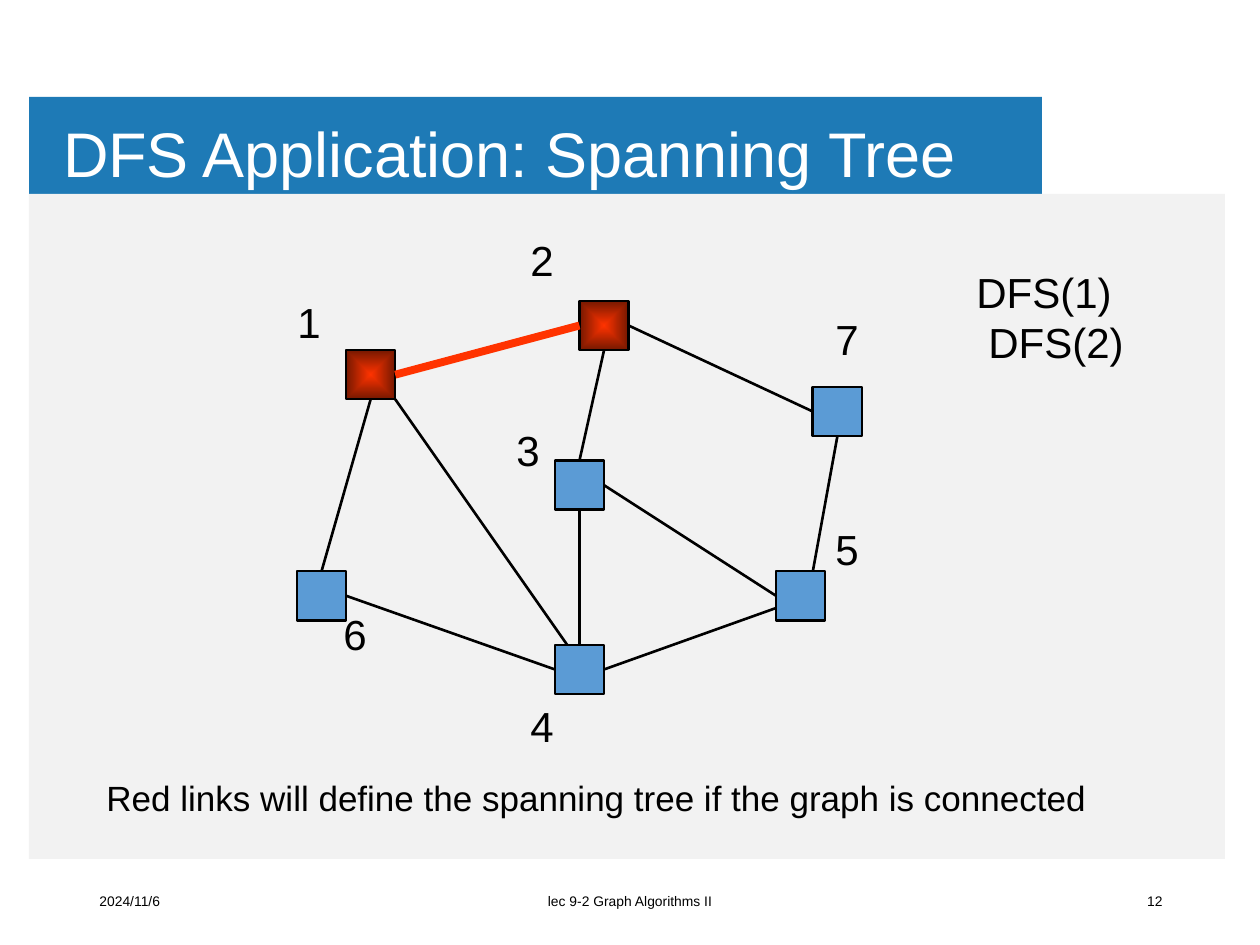
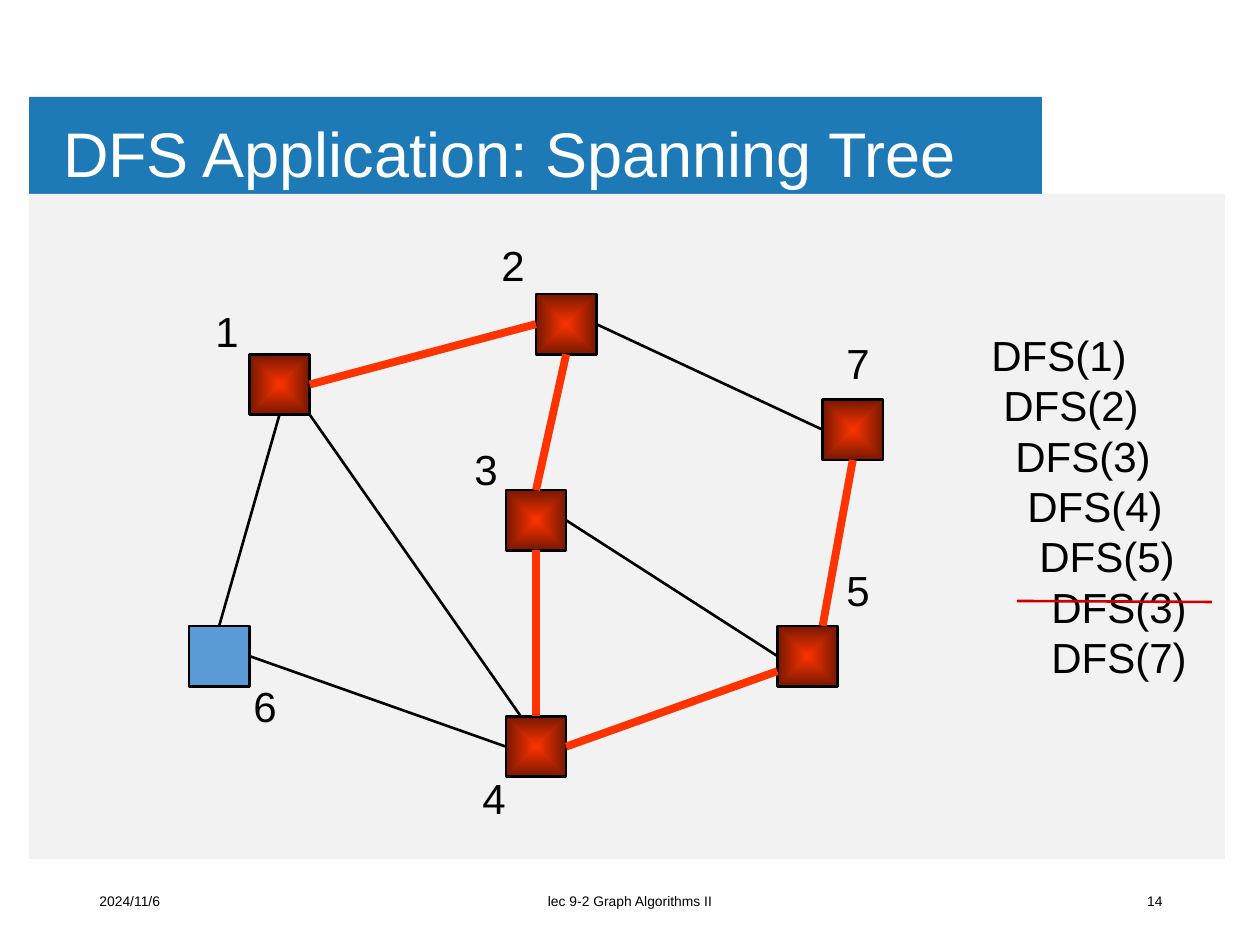
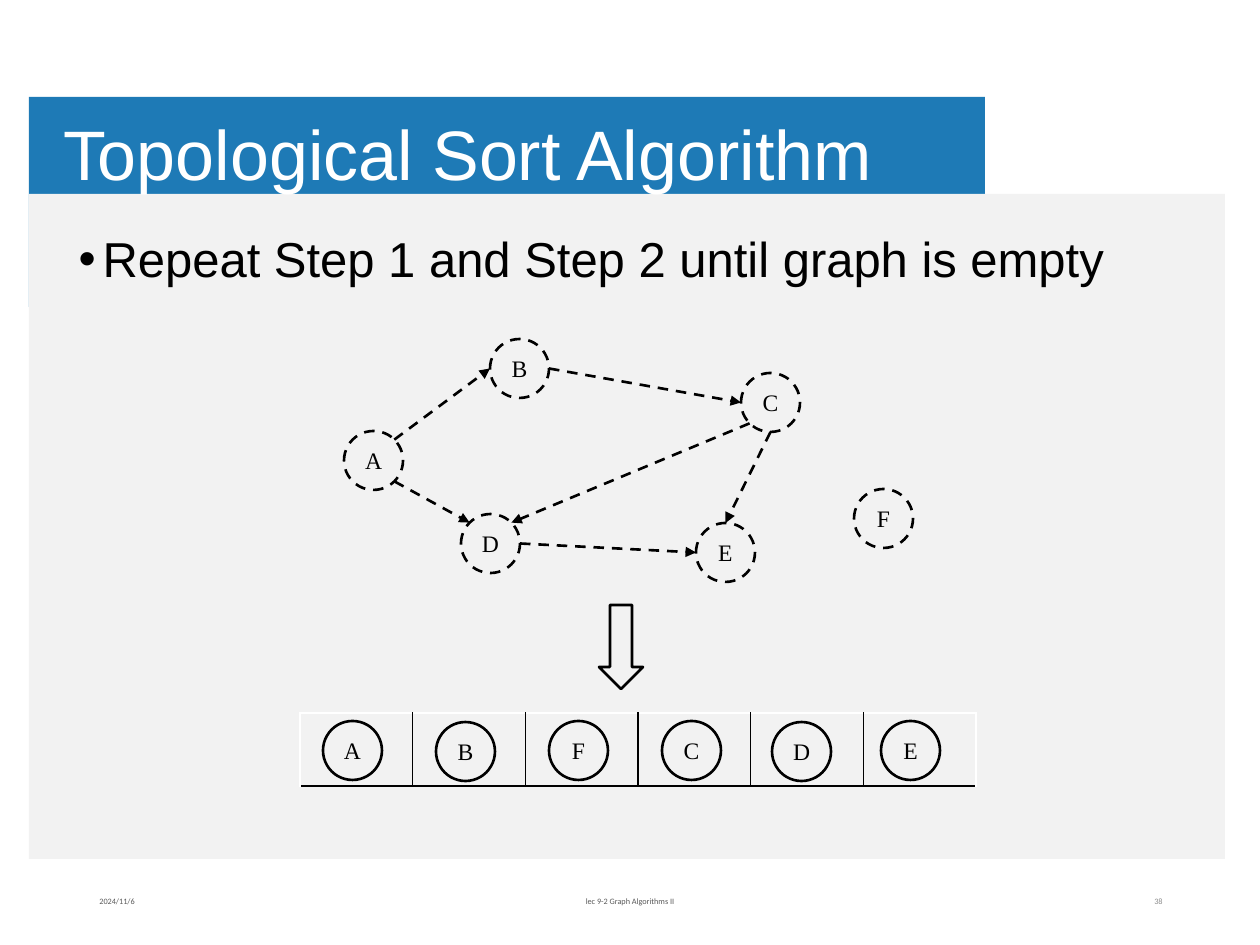
from math import cos, radians, sin

from lxml.etree import SubElement
from pptx import Presentation
from pptx.dml.color import RGBColor
from pptx.enum.dml import MSO_LINE_DASH_STYLE as DASH
from pptx.enum.shapes import MSO_CONNECTOR as CONNECTOR, MSO_SHAPE as SHAPE
from pptx.enum.text import MSO_ANCHOR as ANCHOR, MSO_AUTO_SIZE as AUTO, PP_ALIGN as ALIGN
from pptx.oxml.ns import qn
from pptx.util import Emu, Pt

BLUE_BAND = RGBColor(0x1E, 0x7A, 0xB6)
PANEL_GREY = RGBColor(0xF2, 0xF2, 0xF2)
NODE_BLUE = RGBColor(0x5B, 0x9B, 0xD5)
LINK_RED = RGBColor(0xFF, 0x33, 0x00)
DARK_RED = RGBColor(0x76, 0x18, 0x00)
STRIKE_RED = RGBColor(0xCC, 0x00, 0x00)
BLACK = RGBColor(0x00, 0x00, 0x00)
WHITE = RGBColor(0xFF, 0xFF, 0xFF)
FOOTER_GREY = RGBColor(0x59, 0x59, 0x59)
NUMBER_GREY = RGBColor(0x8C, 0x8C, 0x8C)

SCALE = 914400 / 126
GRID_WIDTH = 46
NODE_CELLS = 4
CIRCLE = 59
SPACE_INDENT = 12

NODES = {"1": (4, 4), "6": (0, 22), "4": (21, 28), "5": (39, 22),
         "3": (21, 13), "2": (23, 0), "7": (42, 7)}
TOP, LEFT, BOTTOM, RIGHT = (2, 0), (0, 2), (2, 4), (4, 2)
SITES = {TOP: 0, LEFT: 1, BOTTOM: 2, RIGHT: 3}
EDGES = [("1", RIGHT, "2", LEFT), ("2", BOTTOM, "3", TOP), ("2", RIGHT, "7", LEFT),
         ("3", RIGHT, "5", LEFT), ("7", BOTTOM, "5", (3, 0)), ("3", BOTTOM, "4", TOP),
         ("4", RIGHT, "5", (0, 3)), ("6", RIGHT, "4", LEFT), ("1", BOTTOM, "6", TOP),
         ("1", (4, 4), "4", (1, 0))]

VERTICES = {"A": (0, 92), "B": (146, 0), "C": (397, 34),
            "E": (352, 184), "D": (117, 175), "F": (510, 150)}
ARCS = [("C", 90, "E", 270), ("D", 0, "E", 180), ("A", 45, "D", 225),
        ("C", 135, "D", 315), ("B", 0, "C", 180), ("A", 315, "B", 180)]
QUEUE = [("A", 23, 8), ("B", 136, 9), ("F", 249, 8),
         ("C", 362, 8), ("D", 472, 9), ("E", 581, 8)]


def px(length):
    """Turn pixels into EMU."""
    return Emu(round(length * SCALE))


def write(shape, text, size, color=BLACK, font="Arial", align=ALIGN.LEFT):
    """Set a shape's text and format every run."""
    shape.text_frame.text = text
    for paragraph in shape.text_frame.paragraphs:
        paragraph.alignment = align
        for run in paragraph.runs:
            run.font.name, run.font.size = font, Pt(size)
            run.font.color.rgb = color


def add_text(slide, box, text, size, **style):
    """Add a wrapping text box."""
    words = slide.shapes.add_textbox(*map(px, box))
    words.text_frame.word_wrap = True
    write(words, text, size, **style)
    return words


def add_figure(slide, kind, box, fill=None, outline=BLACK):
    """Add a flat preset shape."""
    figure = slide.shapes.add_shape(kind, *map(px, box))
    figure.shadow.inherit = False
    if fill is None:
        figure.fill.background()
    else:
        figure.fill.solid()
        figure.fill.fore_color.rgb = fill
    if outline is None:
        figure.line.fill.background()
    else:
        figure.line.color.rgb, figure.line.width = outline, Pt(1.5)
    return figure


def add_link(slide, start, end, color=BLACK, width=1.5, dashed_arrow=False):
    """Add a straight line, or a dashed arrow."""
    link = slide.shapes.add_connector(CONNECTOR.STRAIGHT, *map(px, start + end))
    link.line.color.rgb, link.line.width = color, Pt(width)
    if dashed_arrow:
        link.line.dash_style = DASH.DASH
        SubElement(link.line._get_or_add_ln(), qn("a:tailEnd"), type="triangle")
    SubElement(link._element.spPr, qn("a:effectLst"))
    return link


def glow_red(node):
    """Fill a node from a bright centre to a dark rim."""
    node.fill.gradient()
    for stop, color in zip(node.fill.gradient_stops, (LINK_RED, DARK_RED)):
        stop.color.rgb = color
    gradient = node._element.spPr.find(qn("a:gradFill"))
    gradient.remove(gradient.find(qn("a:lin")))
    spread = SubElement(gradient, qn("a:path"), {"path": "shape"})
    SubElement(spread, qn("a:fillToRect"), dict.fromkeys("ltrb", "50000"))


def place(placeholder, box):
    """Move a placeholder to its box, in front of the bands."""
    placeholder.left, placeholder.top, placeholder.width, placeholder.height = map(px, box)
    placeholder.text_frame.auto_size = AUTO.NONE
    placeholder._element.getparent().append(placeholder._element)


def add_frame(deck, layout, title, number, band_width=1013, title_size=36,
              footer_size=7.9, footer_font="Arial", footer_color=BLACK, number_color=BLACK):
    """Start a slide with its bands, title and footer."""
    slide = deck.slides.add_slide(deck.slide_layouts[layout])
    add_figure(slide, SHAPE.RECTANGLE, (29, 97, band_width, 210), BLUE_BAND, None)
    add_figure(slide, SHAPE.RECTANGLE, (29, 194, 1196, 665), PANEL_GREY, None)
    heading = slide.shapes.title
    place(heading, (54, 96, 1012, 123))
    write(heading, title, title_size, WHITE)
    frame = heading.text_frame
    frame.vertical_anchor = ANCHOR.MIDDLE
    frame.margin_left = frame.margin_right = px(9)
    frame.margin_top = frame.margin_bottom = px(5)
    frame.paragraphs[0].line_spacing = 0.9
    for left, width, text, align, color in (
            (87, 284, "2024/11/6", ALIGN.LEFT, footer_color),
            (417, 426, "lec 9-2 Graph Algorithms II", ALIGN.CENTER, footer_color),
            (891, 284, number, ALIGN.RIGHT, number_color)):
        footer = add_text(slide, (left, 876, width, 50), text, footer_size,
                          color=color, font=footer_font, align=align)
        footer.text_frame.vertical_anchor = ANCHOR.MIDDLE
    return slide


def add_search_graph(slide, box, visited, tree, labels):
    """Draw the seven-node graph on a grid, with visited nodes and tree links in red."""
    left, top, width = box
    step = width / GRID_WIDTH

    def corner(name, shift=(0, 0)):
        column, row = NODES[name]
        return left + (column + shift[0]) * step, top + (row + shift[1]) * step

    squares = {}
    for name in NODES:
        side = NODE_CELLS * step
        squares[name] = add_figure(slide, SHAPE.RECTANGLE, (*corner(name), side, side), NODE_BLUE)
        if name in visited:
            glow_red(squares[name])
    for source, leave, target, arrive in EDGES:
        style = (LINK_RED, 4.5) if source + target in tree else (BLACK, 1.5)
        link = add_link(slide, corner(source, leave), corner(target, arrive), *style)
        if leave in SITES:
            link.begin_connect(squares[source], SITES[leave])
        if arrive in SITES:
            link.end_connect(squares[target], SITES[arrive])
    for name, (x, y) in labels.items():
        add_text(slide, (left + x, top + y, 5.5 * step, 63), name, 24)


def add_trace(slide, box, calls):
    """List the calls, indented by depth."""
    trace = add_text(slide, box, "\n".join(f"DFS({node})" for node, _ in calls), 24)
    for paragraph, (_, depth) in zip(trace.text_frame.paragraphs, calls):
        paragraph._p.get_or_add_pPr().set("marL", str(px(depth * SPACE_INDENT)))


def add_vertex(slide, letter, left, top, dashed=False):
    """Draw a lettered circle."""
    vertex = add_figure(slide, SHAPE.OVAL, (left, top, CIRCLE, CIRCLE))
    if dashed:
        vertex.line.dash_style = DASH.DASH
    write(vertex, letter, 13.5, font="Times New Roman", align=ALIGN.CENTER)
    vertex.text_frame.word_wrap = False
    vertex.text_frame.vertical_anchor = ANCHOR.MIDDLE


def add_removed_graph(slide, left, top):
    """Draw the dashed graph of removed vertices and arcs."""
    def rim(letter, angle):
        x, y = VERTICES[letter]
        radius = CIRCLE / 2
        return (left + x + radius * (1 + cos(radians(angle))),
                top + y + radius * (1 + sin(radians(angle))))

    for letter, (x, y) in VERTICES.items():
        add_vertex(slide, letter, left + x, top + y, dashed=True)
    for source, leave, target, arrive in ARCS:
        add_link(slide, rim(source, leave), rim(target, arrive), dashed_arrow=True)


def add_queue(slide, box):
    """Draw the sorted order as circles over a one-row table."""
    left, top, width, _ = box
    count = len(QUEUE)
    table = slide.shapes.add_table(1, count, *map(px, box)).table
    table.first_row = table.horz_banding = False
    for index, cell in enumerate(table.iter_cells()):
        table.columns[index].width = px(width / count)
        borders = {"a:lnL": BLACK if index else WHITE,
                   "a:lnR": BLACK if index < count - 1 else WHITE,
                   "a:lnT": WHITE, "a:lnB": BLACK}
        properties = cell._tc.get_or_add_tcPr()
        for side, color in borders.items():
            border = SubElement(properties, qn(side), w=str(Pt(1)))
            SubElement(SubElement(border, qn("a:solidFill")), qn("a:srgbClr"), val=str(color))
        cell.fill.background()
    for letter, x, y in QUEUE:
        add_vertex(slide, letter, left + x, top + y)


def add_step(slide, box, text):
    """Fill the body placeholder with one bulleted line."""
    body = slide.placeholders[1]
    place(body, box)
    write(body, text, 28)
    paragraph = body.text_frame.paragraphs[0]
    properties = paragraph._p.get_or_add_pPr()
    properties.set("marL", str(px(24)))
    properties.set("indent", str(px(-24)))
    SubElement(properties, qn("a:buFont"), typeface="Arial")
    SubElement(properties, qn("a:buChar"), char="•")
    paragraph.line_spacing, paragraph.space_before = 0.9, Pt(0)


def build_first_link(deck):
    """Build the slide where the first tree link is found."""
    slide = add_frame(deck, 5, "DFS Application: Spanning Tree", "12")
    add_search_graph(slide, (297, 301, 565), "12", {"12"}, {
        "1": (-12, -11), "2": (221, -73), "7": (526, 6), "5": (526, 216),
        "4": (221, 393), "6": (34, 301), "3": (207, 117)})
    add_trace(slide, (964, 260, 214, 115), [(1, 0), (2, 1)])
    add_text(slide, (94, 770, 1105, 55),
             "Red links will define the spanning tree if the graph is connected", 20)


def build_deep_search(deck):
    """Build the slide where the search has reached node 7."""
    slide = add_frame(deck, 5, "DFS Application: Spanning Tree", "14")
    add_search_graph(slide, (189, 294, 694), "123457", {"12", "23", "34", "45", "75"}, {
        "1": (14, 5), "2": (300, -61), "7": (645, 37), "5": (645, 264),
        "4": (281, 472), "6": (52, 380), "3": (273, 143)})
    add_trace(slide, (979, 323, 255, 369),
              [(1, 0), (2, 1), (3, 2), (4, 3), (5, 4), (3, 5), (7, 5)])
    add_link(slide, (1017, 601), (1212, 602), STRIKE_RED)


def build_topological_sort(deck):
    """Build the slide where every vertex has been sorted."""
    slide = add_frame(deck, 1, "Topological Sort Algorithm", "38", 956, 40,
                      4.7, "Calibri", FOOTER_GREY, NUMBER_GREY)
    add_step(slide, (66, 229, 1147, 95), "Repeat Step 1 and Step 2 until graph is empty")
    add_queue(slide, (300, 713, 676, 73))
    add_removed_graph(slide, 344, 339)
    add_figure(slide, SHAPE.DOWN_ARROW, (599, 605, 44, 84))


def main():
    """Build and save the deck."""
    deck = Presentation()
    deck.slide_width, deck.slide_height = px(1260), px(945)
    build_first_link(deck)
    build_deep_search(deck)
    build_topological_sort(deck)
    deck.save("out.pptx")


if __name__ == "__main__":
    main()
